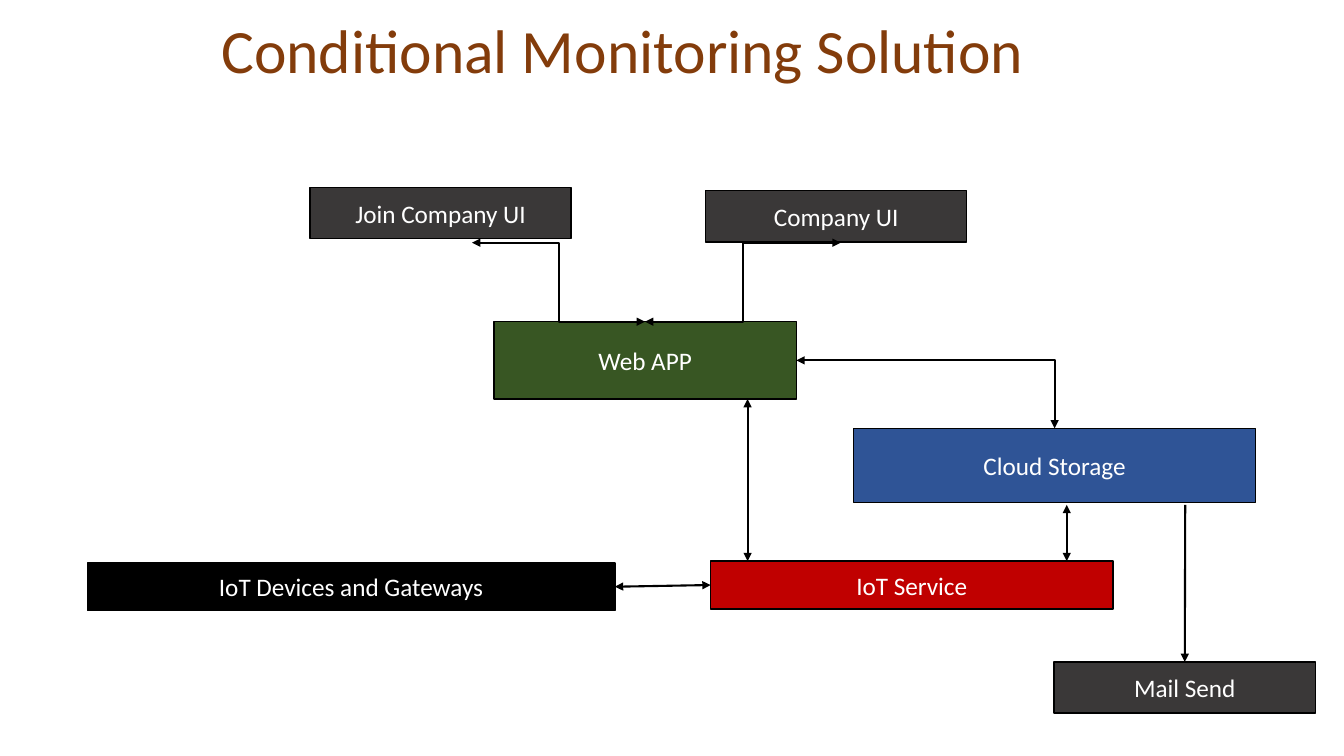
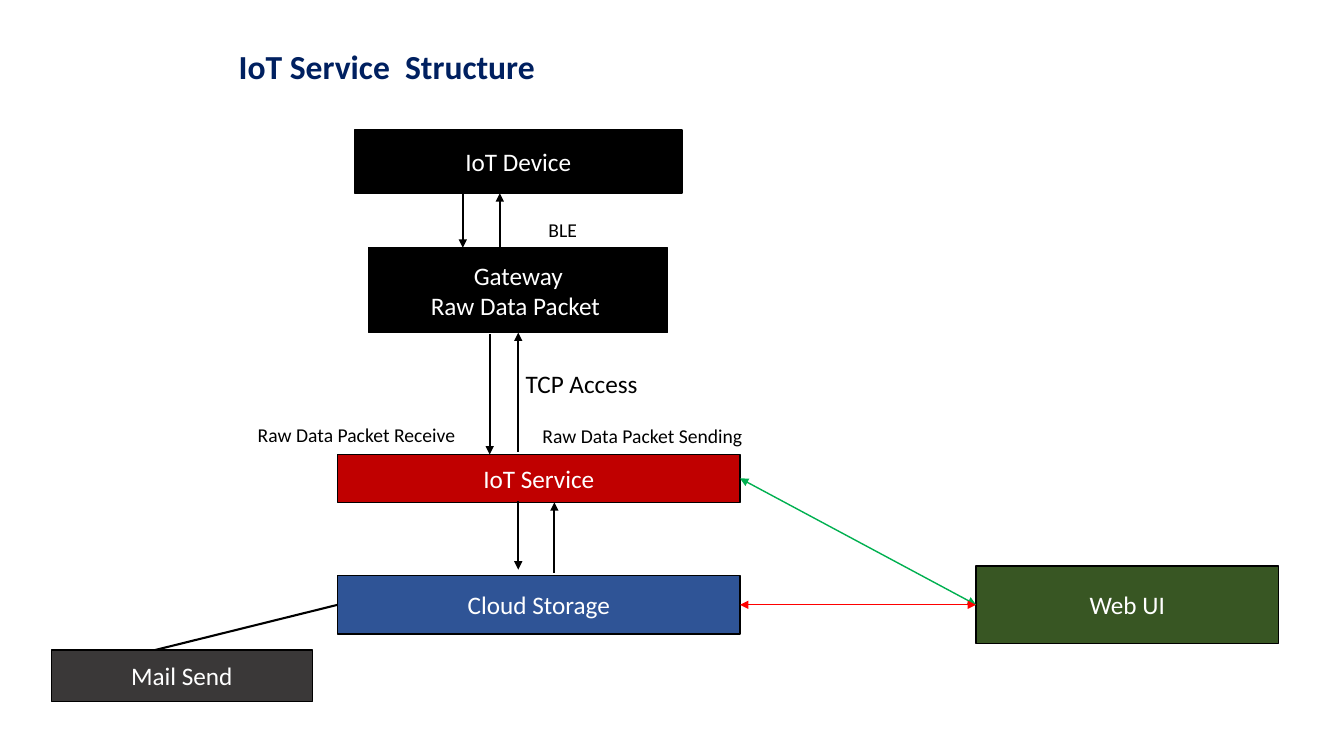
"""Build two block diagrams of an IoT monitoring solution on a 160 by 90 grid."""
import dataclasses

import lxml.etree
import pptx
import pptx.dml.color
import pptx.enum.shapes
import pptx.enum.text
import pptx.oxml.ns
import pptx.util

ALIGN = pptx.enum.text.PP_ALIGN
ANCHOR = pptx.enum.text.MSO_ANCHOR
FIT = pptx.enum.text.MSO_AUTO_SIZE
CONNECTOR = pptx.enum.shapes.MSO_CONNECTOR
COLUMNS, ROWS = 160, 90
CELL = pptx.util.Inches(7.5) / ROWS
TOP, LEFT, BOTTOM, RIGHT = range(4)


@dataclasses.dataclass(frozen=True)
class Theme:
    """Colours, font and type sizes shared by both slides."""
    font: str = "Calibri"
    black: str = "000000"
    white: str = "FFFFFF"
    storage: str = "2F5496"
    service: str = "C00000"
    web: str = "385623"
    grey: str = "3A3838"
    brown: str = "833C0B"
    navy: str = "002060"
    green: str = "00B050"
    red: str = "FF0000"
    headline: int = 44
    heading: int = 24
    body: int = 18
    small: int = 14
    outline: float = 1
    stroke: float = 1.5


THEME = Theme()
WIDE, WEB, SMALL = 47.9, (36, 9.2), (31.1, 6.1)
BOX_FRAME = {"word_wrap": True, "vertical_anchor": ANCHOR.MIDDLE}
LABEL_FRAME = {"word_wrap": True, "auto_size": FIT.SHAPE_TO_FIT_TEXT}

SLIDES = [
    {
        "title": ("Conditional Monitoring Solution", (21.4, 1.6), (105.5, 8.5),
                  {"size": THEME.headline, "color": THEME.brown}),
        "boxes": [
            ("Cloud Storage", (101.6, 51), (WIDE, 8.8), THEME.storage),
            ("IoT Service", (84.6, 66.8), (WIDE, 5.7), THEME.service),
            ("IoT Devices and Gateways", (10.4, 67), (62.8, 5.7), THEME.black),
            ("Web APP", (58.8, 38.3), WEB, THEME.web),
            ("Mail Send", (125.5, 78.8), SMALL, THEME.grey),
            ("Join Company UI", (36.9, 22.3), SMALL, THEME.grey),
            ("Company UI", (84, 22.7), SMALL, THEME.grey),
        ],
        "labels": [],
        "links": [
            (("Web APP", RIGHT), ("Cloud Storage", TOP), {"both": True, "bend": "bentConnector2"}),
            ((56.2, 28.9), ("Web APP", TOP), {"both": True, "bend": "bentConnector3"}),
            ((100.1, 28.9), ("Web APP", TOP), {"both": True, "bend": "bentConnector3"}),
            ((89, 47.5), (89, 66.8), {"both": True}),
            ((141.1, 60.1), ("Mail Send", TOP), {}),
            ((127, 60.1), (127, 66.8), {"both": True}),
            (("IoT Service", LEFT), ("IoT Devices and Gateways", RIGHT), {"both": True}),
        ],
    },
    {
        "title": ("IoT Service  Structure", (8.5, 3.2), (75.1, 9.4),
                  {"size": THEME.heading, "color": THEME.navy, "bold": True}),
        "boxes": [
            ("Gateway\nRaw Data Packet ", (43.9, 29.5), (35.6, 10.1), THEME.black),
            ("IoT Service", (40.2, 54.1), (WIDE, 5.7), THEME.service),
            ("Cloud Storage", (40.2, 68.5), (WIDE, 7), THEME.storage),
            ("IoT Device", (42.2, 15.5), (39, 7.5), THEME.black),
            ("Mail Send", (6.1, 77.4), SMALL, THEME.grey),
            ("Web UI", (116.2, 67.4), WEB, THEME.web),
        ],
        "labels": [
            ("Raw Data Packet Receive", (29.5, 49.7), (26.3, 4.1), THEME.small),
            ("Raw Data Packet Sending", (63.4, 49.9), (26.3, 4.1), THEME.small),
            ("BLE", (64.1, 25.3), (12.1, 4.1), THEME.small),
            ("TCP Access", (61.4, 43.3), (15.8, 4.8), THEME.body),
        ],
        "links": [
            ((55.1, 23), (55.1, 29.5), {}),
            ((59.5, 29.4), (59.5, 23), {}),
            ((58.3, 39.8), (58.3, 54.1), {}),
            ((61.7, 53.8), ("Gateway\nRaw Data Packet ", BOTTOM), {}),
            ((61.7, 59.7), (61.7, 67.8), {}),
            ((66, 68.2), (66, 59.8), {}),
            (("Cloud Storage", LEFT), ("Mail Send", LEFT), {"behind": True}),
            (("IoT Service", RIGHT), ("Web UI", LEFT),
             {"both": True, "color": THEME.green, "width": 1}),
            (("Cloud Storage", RIGHT), ("Web UI", LEFT),
             {"both": True, "color": THEME.red, "width": 0.75}),
        ],
    },
]


def grid(*cells):
    return [round(cell * CELL) for cell in cells]


def rgb(value):
    return pptx.dml.color.RGBColor.from_string(value)


def write(shape, text, frame_format, size, color, align=ALIGN.CENTER, bold=False):
    frame = shape.text_frame
    frame.text = text
    for key, value in frame_format.items():
        setattr(frame, key, value)
    font_format = {"name": THEME.font, "size": pptx.util.Pt(size), "bold": bold}
    for paragraph in frame.paragraphs:
        paragraph.alignment = align
        for run in paragraph.runs:
            for key, value in font_format.items():
                setattr(run.font, key, value)
            run.font.color.rgb = rgb(color)


def stroke(line, color, width):
    line.color.rgb = rgb(color)
    line.width = pptx.util.Pt(width)


def add_title(slide, text, place, size, style):
    write(slide.shapes.add_textbox(*grid(*place, *size)), text, BOX_FRAME, **style)


def add_label(slide, text, place, size, points):
    label = slide.shapes.add_textbox(*grid(*place, *size))
    write(label, text, LABEL_FRAME, points, THEME.black, ALIGN.LEFT)


def add_box(slide, text, place, size, color):
    box = slide.shapes.add_shape(pptx.enum.shapes.MSO_SHAPE.RECTANGLE, *grid(*place, *size))
    box.shadow.inherit = False
    box.fill.solid()
    box.fill.fore_color.rgb = rgb(color)
    stroke(box.line, THEME.black, THEME.outline)
    write(box, text, BOX_FRAME, THEME.body, THEME.white)
    return box


def locate(end, boxes):
    if end[0] not in boxes:
        return grid(*end)
    box, side = boxes[end[0]], end[1]
    across = {LEFT: 0, RIGHT: 1}.get(side, 0.5)
    down = {TOP: 0, BOTTOM: 1}.get(side, 0.5)
    return [round(box.left + box.width * across), round(box.top + box.height * down)]


def add_link(slide, boxes, start, finish, both=False, bend=None, behind=False,
             color=THEME.black, width=THEME.stroke):
    kind = CONNECTOR.ELBOW if bend else CONNECTOR.STRAIGHT
    link = slide.shapes.add_connector(kind, *locate(start, boxes), *locate(finish, boxes))
    stroke(link.line, color, width)
    properties = link._element.spPr
    qn = pptx.oxml.ns.qn
    if bend:
        properties.find(qn("a:prstGeom")).set("prst", bend)
    else:
        for end, connect in ((start, link.begin_connect), (finish, link.end_connect)):
            if end[0] in boxes:
                connect(boxes[end[0]], end[1])
    for tip in ["a:headEnd", "a:tailEnd"] if both else ["a:tailEnd"]:
        lxml.etree.SubElement(properties.find(qn("a:ln")), qn(tip), type="triangle")
    lxml.etree.SubElement(properties, qn("a:effectLst"))
    if behind:
        slide.shapes._spTree.insert(2, link._element)


def build_slide(deck, content):
    slide = deck.slides.add_slide(deck.slide_layouts[6])
    add_title(slide, *content["title"])
    boxes = {box[0]: add_box(slide, *box) for box in content["boxes"]}
    for label in content["labels"]:
        add_label(slide, *label)
    for start, finish, style in content["links"]:
        add_link(slide, boxes, start, finish, **style)


def main():
    deck = pptx.Presentation()
    deck.slide_width, deck.slide_height = grid(COLUMNS, ROWS)
    for content in SLIDES:
        build_slide(deck, content)
    deck.save("out.pptx")


if __name__ == "__main__":
    main()
